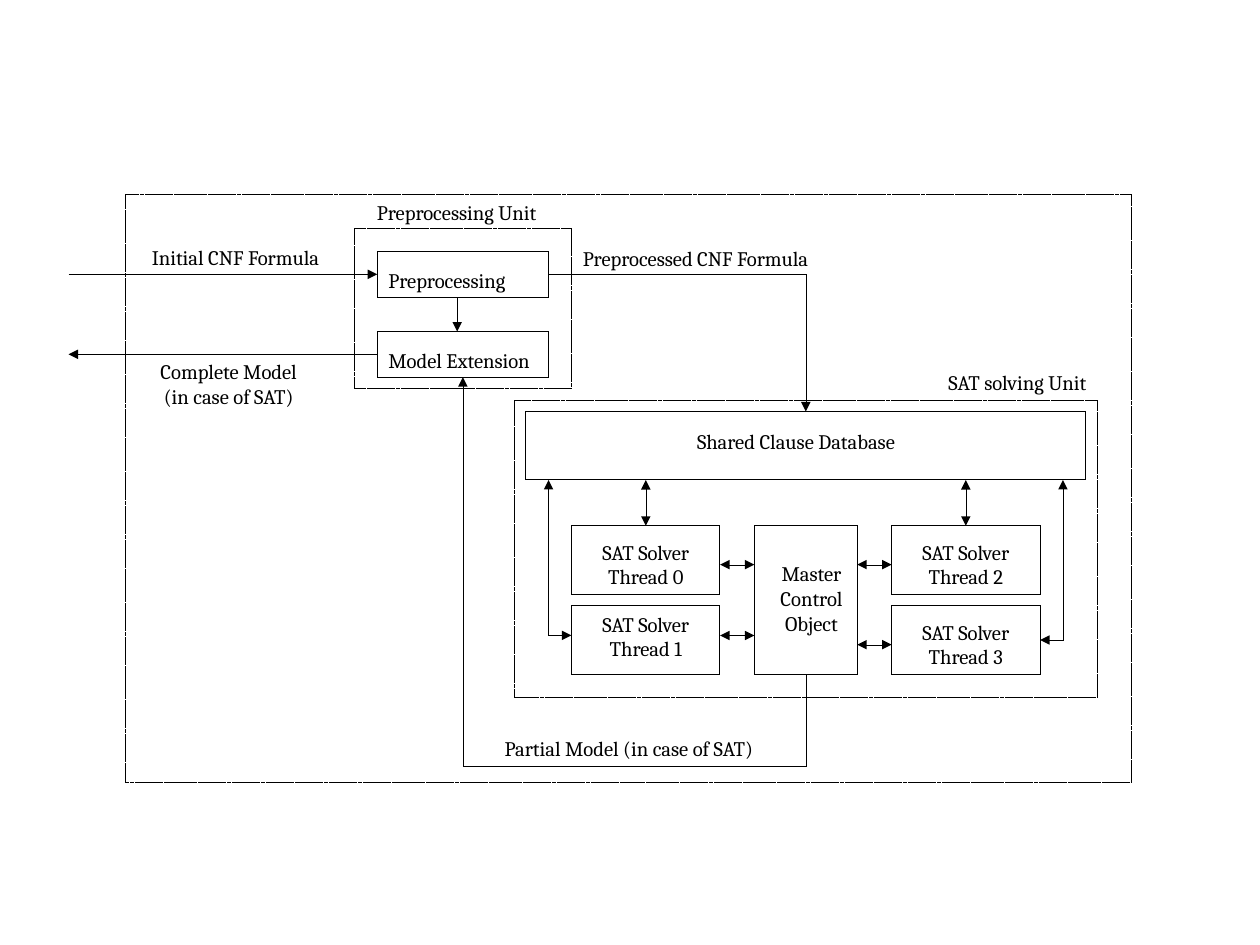
"""Draw the architecture of a parallel SAT solver on one slide."""
from lxml import etree
from pptx import Presentation
from pptx import util as u
from pptx.dml.color import RGBColor
from pptx.enum import dml, shapes, text
from pptx.oxml import ns

CELL = 0.1
FONT = "Cambria"
INK = "000000"
LEFT, CENTER = text.PP_ALIGN.LEFT, text.PP_ALIGN.CENTER


def cells(*counts):
    """Turn counts of grid cells into slide lengths."""
    return [u.Inches(count * CELL) for count in counts]


def paint(color, value):
    """Apply a hex colour."""
    color.rgb = RGBColor.from_string(value)


def hairline(line):
    """Give an outline the thinnest black stroke and return its XML."""
    line.fill.solid()
    paint(line.fill.fore_color, INK)
    stroke = line._get_or_add_ln()
    stroke.set("w", "0")
    return stroke


def label(page, place, words, align=LEFT):
    """Add free text."""
    box = page.shapes.add_textbox(*cells(*place))
    frame = box.text_frame
    frame.word_wrap = True
    frame.auto_size = text.MSO_AUTO_SIZE.SHAPE_TO_FIT_TEXT
    frame.text = words
    para = frame.paragraphs[0]
    para.alignment = align
    for span in para.runs:
        span.font.name = FONT
        span.font.size = u.Pt(13)
        paint(span.font.color, INK)


def outline(page, place, dashed=False):
    """Add an unfilled rectangle and return it."""
    box = page.shapes.add_shape(shapes.MSO_SHAPE.RECTANGLE, *cells(*place))
    box.shadow.inherit = False
    box.fill.background()
    hairline(box.line)
    if dashed:
        box.line.dash_style = dml.MSO_LINE.SQUARE_DOT
    return box


def arrow(page, start, end, both=False, bent=False):
    """Add an arrow, straight or bent first along the row, then the column."""
    kind = shapes.MSO_CONNECTOR.ELBOW if bent else shapes.MSO_CONNECTOR.STRAIGHT
    link = page.shapes.add_connector(kind, *cells(*start, *end))
    stroke = hairline(link.line)
    for tip in ("a:headEnd", "a:tailEnd") if both else ("a:tailEnd",):
        etree.SubElement(stroke, ns.qn(tip), type="triangle")
    properties = link._element.spPr
    etree.SubElement(properties, ns.qn("a:effectLst"))
    if bent:
        properties.find(ns.qn("a:prstGeom")).set("prst", "bentConnector2")
    return link


def loop_arrow(page, start, end, depth):
    """Add an arrow that drops by depth, runs sideways and climbs to its end."""
    (x1, y1), (x2, y2) = start, end
    middle_x, middle_y = (x1 + x2) / 2, (y1 + y2) / 2
    half_width, half_height = (y1 - y2) / 2, (x1 - x2) / 2
    link = arrow(page, (middle_x - half_width, middle_y + half_height),
                 (middle_x + half_width, middle_y - half_height), bent=True)
    properties = link._element.spPr
    properties.find(ns.qn("a:xfrm")).set("rot", str(270 * 60000))
    geometry = properties.find(ns.qn("a:prstGeom"))
    geometry.set("prst", "bentConnector3")
    guides = geometry.find(ns.qn("a:avLst"))
    share = round(-depth / (y1 - y2) * 100000)
    etree.SubElement(guides, ns.qn("a:gd"), name="adj1", fmla=f"val {share}")


def draw_preprocessing(page):
    """Draw the preprocessing unit with its input and output."""
    outline(page, (31, 20, 19, 14), dashed=True)
    label(page, (32, 17, 19, 3.4), "Preprocessing Unit")
    steps = []
    for row, words in ((22, "Preprocessing"), (29, "Model Extension")):
        steps.append(outline(page, (33, row, 15, 4)))
        label(page, (33, row + 0.9, 19, 3.4), words)
    preprocessing, extension = steps
    label(page, (12.3, 20.9, 19, 3.4), "Initial CNF Formula")
    label(page, (12, 30.9, 16, 5.9), "Complete Model (in case of SAT)", CENTER)
    arrow(page, (6, 24), (33, 24)).end_connect(preprocessing, 1)
    arrow(page, (33, 31), (6, 31)).begin_connect(extension, 1)
    arrow(page, (40, 26), (40, 29))


def draw_solving(page):
    """Draw the solving unit with its threads, database and control object."""
    outline(page, (45, 35, 51, 26), dashed=True)
    label(page, (82, 31.9, 19, 3.4), "SAT solving Unit")
    outline(page, (46, 36, 49, 6))
    label(page, (60, 37, 24, 3.4), "Shared Clause Database")
    outline(page, (66, 46, 9, 13))
    label(page, (65, 48.6, 12, 8.3), "Master Control Object", CENTER)
    threads = []
    for number, drop in enumerate((0.7, 0, 0.7, 0.7)):
        column, row = 50 + 28 * (number // 2), 46 + 7 * (number % 2)
        threads.append(outline(page, (column, row, 13, 6)))
        label(page, (column, row + drop, 13, 5.9), f"SAT Solver Thread {number}", CENTER)
    for thread, column in ((threads[0], 56.5), (threads[2], 84.5)):
        arrow(page, (column, 46), (column, 42), both=True).begin_connect(thread, 0)
    for column, row in ((63, 49.4), (63, 55.6), (75, 49.4), (75, 56.4)):
        arrow(page, (column, row), (column + 3, row), both=True)
    arrow(page, (50, 55.6), (48, 42), both=True, bent=True)
    arrow(page, (91, 56), (93, 42), both=True, bent=True)


def main():
    """Build the slide and save it."""
    deck = Presentation()
    deck.slide_width, deck.slide_height = u.Cm(28), u.Cm(21)
    page = deck.slides.add_slide(deck.slide_layouts[6])
    outline(page, (11, 17, 88, 51.5), dashed=True)
    draw_preprocessing(page)
    draw_solving(page)
    arrow(page, (48, 24), (70.5, 36), bent=True)
    label(page, (50, 21, 25.5, 3.4), "Preprocessed CNF Formula")
    loop_arrow(page, (70.5, 59), (40.5, 33), depth=8)
    label(page, (39.5, 63.9, 31, 3.4), "Partial Model (in case of SAT)", CENTER)
    deck.save("out.pptx")


if __name__ == "__main__":
    main()
